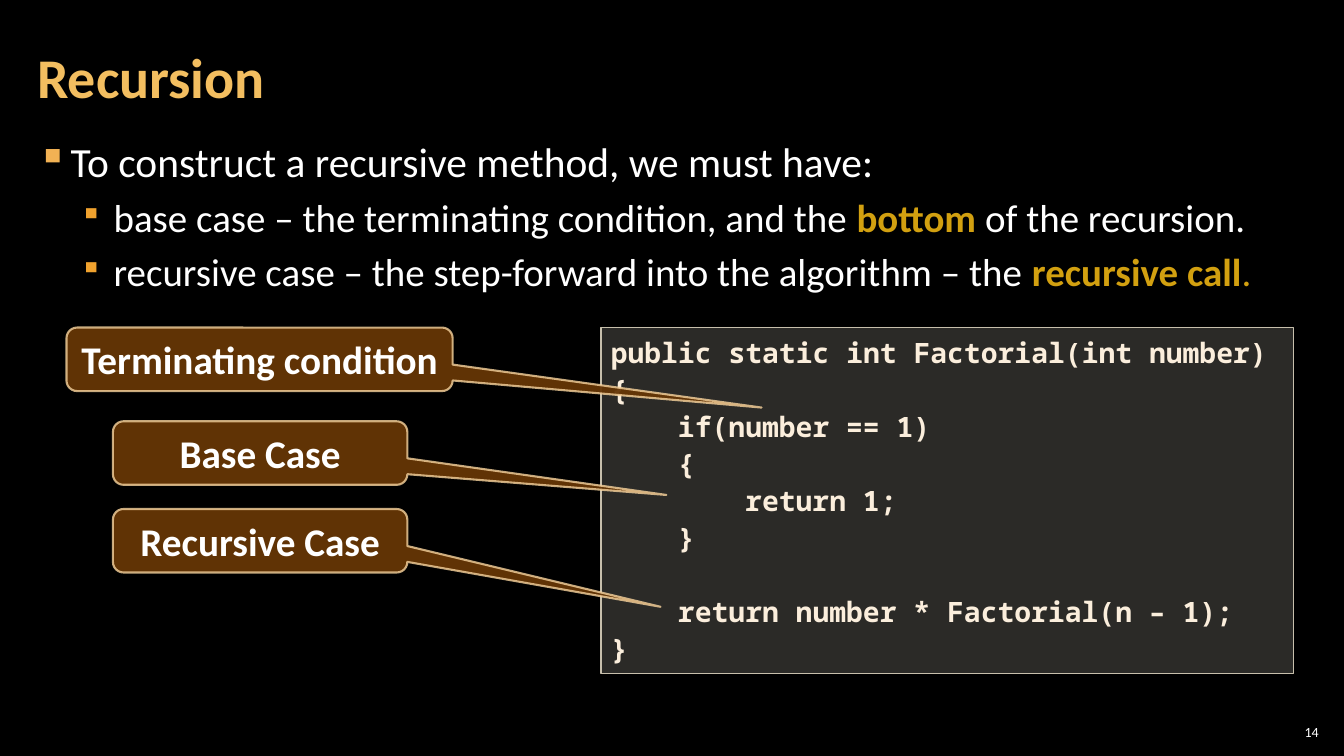
from dataclasses import dataclass

from lxml import etree
from pptx import Presentation
from pptx.dml.color import RGBColor
from pptx.enum.shapes import MSO_SHAPE
from pptx.enum.text import MSO_ANCHOR, PP_ALIGN
from pptx.oxml.ns import qn
from pptx.shapes.autoshape import Shape
from pptx.slide import Slide
from pptx.util import Inches, Pt

RECTANGLE = MSO_SHAPE.RECTANGLE
CALLOUT = MSO_SHAPE.ROUNDED_RECTANGULAR_CALLOUT
TOP, MIDDLE = MSO_ANCHOR.TOP, MSO_ANCHOR.MIDDLE
LEFT, CENTER, RIGHT = PP_ALIGN.LEFT, PP_ALIGN.CENTER, PP_ALIGN.RIGHT

BLACK = RGBColor(0x00, 0x00, 0x00)
WHITE = RGBColor(0xFF, 0xFF, 0xFF)
TITLE_GOLD = RGBColor(0xF3, 0xBE, 0x60)
BULLET_GOLD = RGBColor(0xF2, 0xB2, 0x54)
BULLET_ORANGE = RGBColor(0xF0, 0xA2, 0x2E)
EMPHASIS = RGBColor(0xD2, 0xA0, 0x10)
CODE_TEXT = RGBColor(0xFB, 0xEE, 0xDC)
CODE_FILL = RGBColor(0xD9, 0xD5, 0xC7)
CODE_LINE = RGBColor(0xC7, 0xBF, 0xAC)
CALLOUT_FILL = RGBColor(0x66, 0x36, 0x06)
CALLOUT_LINE = RGBColor(0xF8, 0xD4, 0x9E)

BODY_FONT = "Calibri"
CODE_FONT = "Noto Sans Mono"
CODE_SIZE = 20
CODE_TAB = 4 * 0.6 * CODE_SIZE / 72
CODE_LINE_PITCH = 26.4


@dataclass(frozen=True)
class Span:
    text: str
    color: RGBColor = WHITE
    bold: bool = False


@dataclass(frozen=True)
class Bullet:
    spans: tuple[Span, ...]
    level: int
    size: float
    margin: float
    hanging: float
    color: RGBColor
    scale: int


@dataclass(frozen=True)
class CodeLine:
    text: str
    depth: int = 0
    blank_before: int = 0


@dataclass(frozen=True)
class Callout:
    label: str
    left: float
    top: float
    width: float
    tip_x: float
    tip_y: float


BULLETS = (
    Bullet((Span("To construct a recursive method, we must have:"),),
           0, 29.6, 0.33, 0.33, BULLET_GOLD, 100),
    Bullet((Span(" base case – the terminating condition, and the "),
            Span("bottom ", EMPHASIS, True),
            Span("of the recursion.")),
           1, 27.8, 0.67, 0.25, BULLET_ORANGE, 80),
    Bullet((Span(" recursive case – the step-forward into the algorithm – the "),
            Span("recursive call", EMPHASIS, True),
            Span(".", EMPHASIS)),
           1, 27.8, 0.67, 0.25, BULLET_ORANGE, 80),
)
FACTORIAL = (
    CodeLine("public static int Factorial(int number)"),
    CodeLine("{"),
    CodeLine("if(number == 1)", 1),
    CodeLine("{", 1),
    CodeLine("return 1;", 2),
    CodeLine("}", 1),
    CodeLine("return number * Factorial(n – 1);", 1, 1),
    CodeLine("}"),
)
CALLOUTS = (
    Callout("Base Case", 1.12, 4.18, 2.92, 1.38, 0.66),
    Callout("Terminating condition", 0.66, 3.25, 3.83, 1.3, 0.76),
    Callout("Recursive Case", 1.12, 5.05, 2.92, 1.36, 1.04),
)


def add_run(paragraph, span: Span, size: float, font: str = BODY_FONT) -> None:
    run = paragraph.add_run()
    run.text = span.text
    run.font.name = font
    run.font.size = Pt(size)
    run.font.bold = span.bold
    run.font.color.rgb = span.color


def add_text_box(slide: Slide, left: float, top: float, width: float, height: float,
                 side_inset: float, anchor: MSO_ANCHOR):
    frame = slide.shapes.add_textbox(
        Inches(left), Inches(top), Inches(width), Inches(height)).text_frame
    frame.word_wrap = True
    frame.vertical_anchor = anchor
    frame.margin_left = frame.margin_right = Inches(side_inset)
    frame.margin_top = frame.margin_bottom = Inches(0.04)
    return frame


def set_indent(paragraph, margin: float, first_line: float = 0):
    properties = paragraph._p.get_or_add_pPr()
    properties.set("marL", str(Inches(margin)))
    properties.set("indent", str(Inches(first_line)))
    return properties


def add_bullet(paragraph, bullet: Bullet) -> None:
    paragraph.level = bullet.level
    paragraph.line_spacing = 0.8
    paragraph.space_before = paragraph.space_after = Pt(6)
    properties = set_indent(paragraph, bullet.margin, -bullet.hanging)
    color = etree.SubElement(properties, qn("a:buClr"))
    etree.SubElement(color, qn("a:srgbClr"), val=str(bullet.color))
    etree.SubElement(properties, qn("a:buSzPct"), val=str(bullet.scale * 1000))
    etree.SubElement(properties, qn("a:buChar"), char="▪")
    for span in bullet.spans:
        add_run(paragraph, span, bullet.size)


def set_opacity(fill_owner, percent: int) -> None:
    color = fill_owner.find(qn("a:solidFill"))[0]
    etree.SubElement(color, qn("a:alpha"), val=str(percent * 1000))


def paint(shape: Shape, fill: RGBColor, opacity: int, line: RGBColor,
          line_width: float, line_opacity: int) -> None:
    shape.shadow.inherit = False
    shape.fill.solid()
    shape.fill.fore_color.rgb = fill
    shape.line.color.rgb = line
    shape.line.width = Pt(line_width)
    outline = shape._element.spPr
    set_opacity(outline, opacity)
    set_opacity(outline.find(qn("a:ln")), line_opacity)


def add_code(slide: Slide, lines: tuple[CodeLine, ...]) -> None:
    panel = slide.shapes.add_shape(
        RECTANGLE, Inches(5.96), Inches(3.25), Inches(6.87), Inches(3.43))
    paint(panel, CODE_FILL, 20, CODE_LINE, 1, 100)
    frame = panel.text_frame
    frame.word_wrap = True
    frame.vertical_anchor = TOP
    for index, line in enumerate(lines):
        paragraph = frame.add_paragraph() if index else frame.paragraphs[0]
        paragraph.alignment = LEFT
        paragraph.line_spacing = 1.1
        paragraph.space_before = Pt(line.blank_before * CODE_LINE_PITCH)
        set_indent(paragraph, line.depth * CODE_TAB)
        add_run(paragraph, Span(line.text, CODE_TEXT, True), CODE_SIZE, CODE_FONT)


def add_callout(slide: Slide, callout: Callout) -> None:
    bubble = slide.shapes.add_shape(
        CALLOUT, Inches(callout.left), Inches(callout.top),
        Inches(callout.width), Inches(0.63))
    bubble.adjustments[0] = callout.tip_x
    bubble.adjustments[1] = callout.tip_y
    paint(bubble, CALLOUT_FILL, 95, CALLOUT_LINE, 1.5, 80)
    frame = bubble.text_frame
    frame.word_wrap = True
    frame.vertical_anchor = MIDDLE
    label = frame.paragraphs[0]
    label.alignment = CENTER
    add_run(label, Span(callout.label, WHITE, True), 28)


def main() -> None:
    presentation = Presentation()
    presentation.slide_width = Inches(13.33)
    presentation.slide_height = Inches(7.5)
    slide = presentation.slides.add_slide(presentation.slide_layouts[6])
    slide.background.fill.solid()
    slide.background.fill.fore_color.rgb = BLACK

    page_number = add_text_box(slide, 12.65, 7.16, 0.47, 0.21, 0.04, MIDDLE).paragraphs[0]
    page_number.alignment = RIGHT
    add_run(page_number, Span("14"), 10)

    body = add_text_box(slide, 0.25, 1.41, 12.83, 1.64, 0.12, TOP)
    for index, bullet in enumerate(BULLETS):
        add_bullet(body.add_paragraph() if index else body.paragraphs[0], bullet)

    title = add_text_box(slide, 0.25, 0.19, 10.47, 1.21, 0.12, MIDDLE).paragraphs[0]
    title.line_spacing = 0.9
    add_run(title, Span("Recursion", TITLE_GOLD, True), 40)

    add_code(slide, FACTORIAL)
    for callout in CALLOUTS:
        add_callout(slide, callout)
    presentation.save("out.pptx")


if __name__ == "__main__":
    main()
